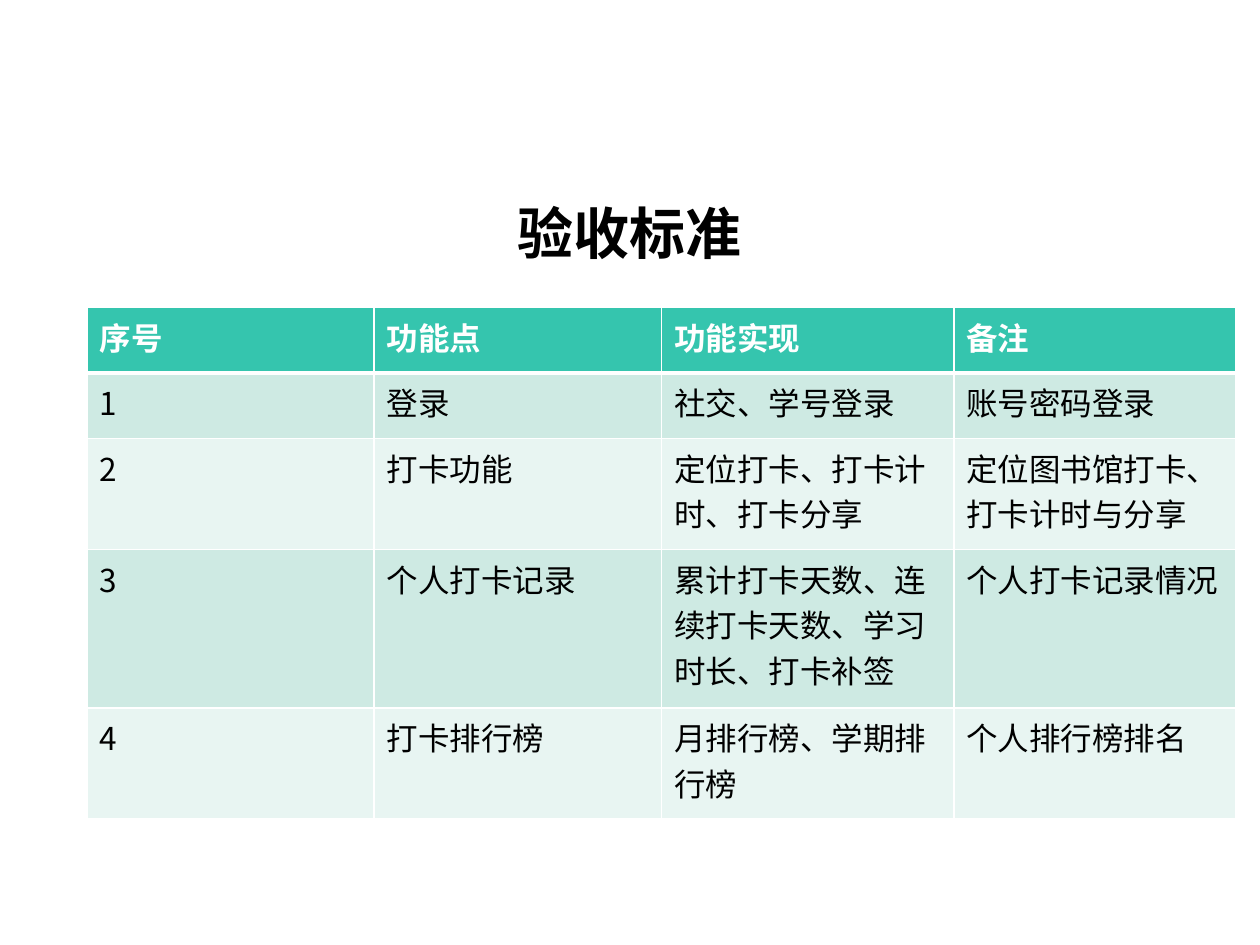
import dataclasses
import typing

import lxml.etree
import pptx
import pptx.dml.color
import pptx.enum.text
import pptx.oxml.ns
import pptx.util

Inches = pptx.util.Inches
RGB = pptx.dml.color.RGBColor
qn = pptx.oxml.ns.qn


@dataclasses.dataclass(frozen=True)
class Theme:
    face: str = "Noto Sans CJK SC"
    ink: str = "000000"
    paper: str = "FFFFFF"
    head: str = "35C5AE"
    bands: tuple[str, str] = ("CEEAE3", "E8F5F2")
    title: int = 32
    body: int = 18


@dataclasses.dataclass(frozen=True)
class Row:
    height: float
    texts: tuple[str, str, str, str]


THEME = Theme()
WIDTHS = (2.28, 2.28, 2.32, 2.24)
ROWS = (
    Row(0.52, ("序号", "功能点", "功能实现", "备注")),
    Row(0.52, ("1", "登录", "社交、学号登录", "账号密码登录")),
    Row(0.88, ("2", "打卡功能", "定位打卡、打卡计时、打卡分享",
               "定位图书馆打卡、 打卡计时与分享")),
    Row(1.26, ("3", "个人打卡记录",
               "累计打卡天数、连续打卡天数、学习时长、打卡补签", "个人打卡记录情况")),
    Row(0.88, ("4", "打卡排行榜", "月排行榜、学期排行榜", "个人排行榜排名")),
)


def write(frame: typing.Any, text: str, size: int, color: str, bold: bool) -> typing.Any:
    """Fill a text frame with one styled paragraph."""
    frame.text = text
    para = frame.paragraphs[0]
    font = para.font
    font.name, font.size, font.bold = THEME.face, pptx.util.Pt(size), bold
    font.color.rgb = RGB.from_string(color)
    # East Asian glyphs need their own typeface entry
    props = para._p.pPr.find(qn("a:defRPr"))
    lxml.etree.SubElement(props, qn("a:ea"), typeface=THEME.face)
    return para


def edge(cell: typing.Any, base: int) -> None:
    """Draw white borders, with the bottom one as thick as base points."""
    props = cell._tc.get_or_add_tcPr()
    sides = {"a:lnL": 1, "a:lnR": 1, "a:lnT": 1, "a:lnB": base}
    for i, (side, width) in enumerate(sides.items()):
        line = lxml.etree.Element(qn(side), w=str(pptx.util.Pt(width)))
        fill = lxml.etree.SubElement(line, qn("a:solidFill"))
        lxml.etree.SubElement(fill, qn("a:srgbClr"), val=THEME.paper)
        props.insert(i, line)


def draw_cell(cell: typing.Any, text: str, row: int) -> None:
    """Style one cell by its row."""
    head = row == 0
    shade = THEME.head if head else THEME.bands[(row - 1) % 2]
    cell.fill.solid()
    cell.fill.fore_color.rgb = RGB.from_string(shade)
    write(cell.text_frame, text, THEME.body, THEME.paper if head else THEME.ink, head)
    edge(cell, 3 if head else 1)


def draw_table(slide: typing.Any) -> None:
    """Build the table of criteria."""
    high = sum(row.height for row in ROWS)
    table = slide.shapes.add_table(
        len(ROWS), len(WIDTHS), Inches(0.69), Inches(2.44),
        Inches(sum(WIDTHS)), Inches(high)).table
    for col, width in zip(table.columns, WIDTHS):
        col.width = Inches(width)
    for r, row in enumerate(ROWS):
        table.rows[r].height = Inches(row.height)
        for c, text in enumerate(row.texts):
            draw_cell(table.cell(r, c), text, r)


def draw_title(slide: typing.Any) -> None:
    """Place and fill the title."""
    title = slide.shapes.title
    title.left, title.top = Inches(0.69), Inches(1.24)
    title.width, title.height = Inches(8.62), Inches(1.09)
    frame = title.text_frame
    frame.vertical_anchor = pptx.enum.text.MSO_ANCHOR.MIDDLE
    para = write(frame, "验收标准", THEME.title, THEME.ink, True)
    para.alignment = pptx.enum.text.PP_ALIGN.CENTER
    para.line_spacing = 1.2


# Slide
deck = pptx.Presentation()
deck.slide_width, deck.slide_height = Inches(10), Inches(7.5)
slide = deck.slides.add_slide(deck.slide_layouts[5])
draw_title(slide)
draw_table(slide)
deck.save("out.pptx")
